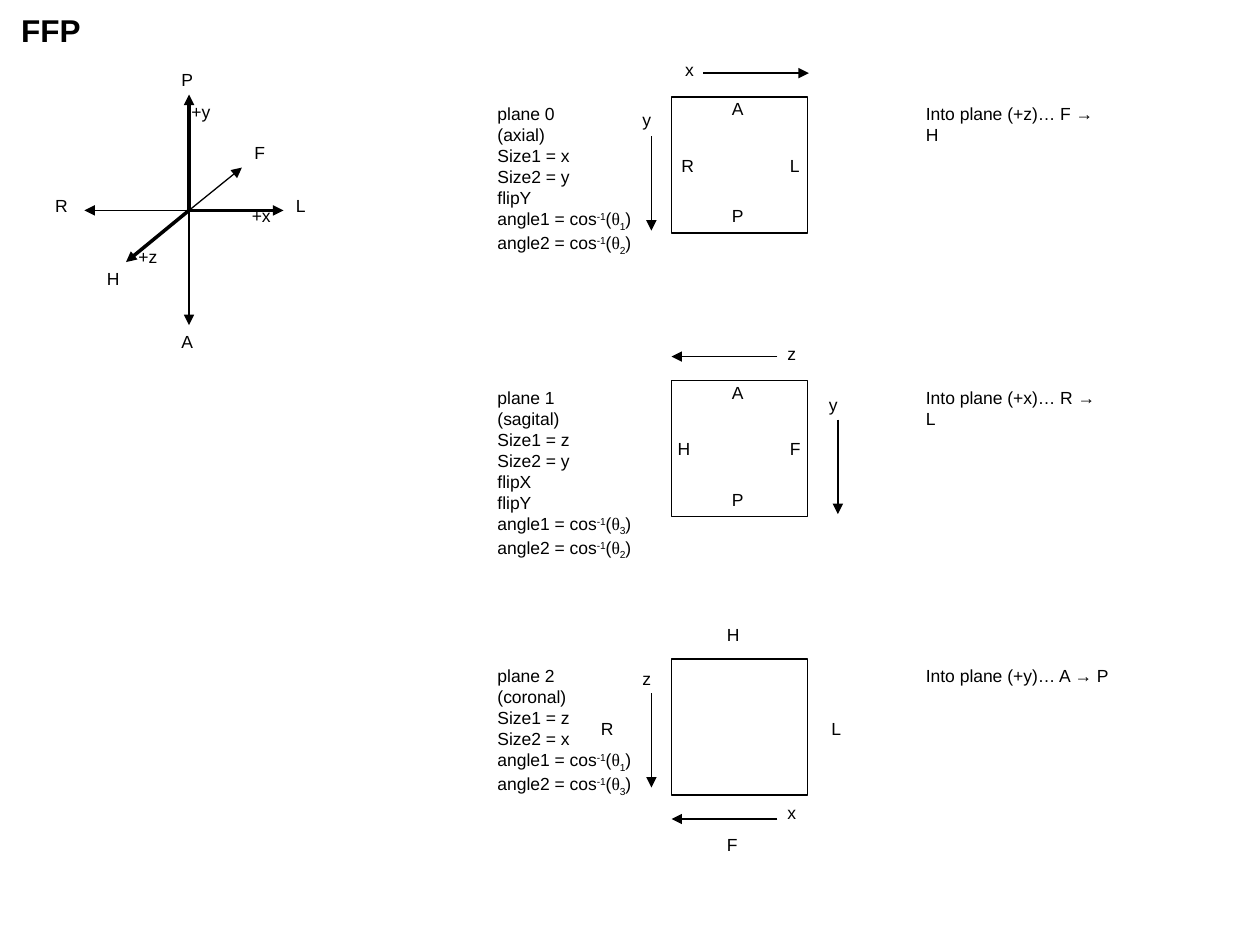
from dataclasses import dataclass

from lxml.etree import SubElement
from pptx import Presentation
from pptx.dml.color import RGBColor
from pptx.enum.shapes import MSO_CONNECTOR, MSO_SHAPE
from pptx.enum.text import MSO_AUTO_SIZE
from pptx.oxml.ns import qn
from pptx.util import Inches, Pt


@dataclass(frozen=True)
class Theme:
    ink: RGBColor = RGBColor(0, 0, 0)
    paper: RGBColor = RGBColor(255, 255, 255)
    font: str = "Arial"
    greek_font: str = "Times New Roman"
    body_size: float = 10
    title_size: float = 18
    thin: float = 0.75
    thick: float = 2


@dataclass(frozen=True)
class Plane:
    top: float
    lines: tuple
    angles: tuple
    direction: str
    direction_width: float
    arrows: tuple
    labels: tuple


class Sketch:
    def __init__(self, page, theme):
        self.page = page
        self.theme = theme

    def span(self, para, text, size=None, bold=False, font=None, baseline=0):
        span = para.add_run()
        span.text = text
        span.font.size = Pt(size or self.theme.body_size)
        span.font.bold = bold
        span.font.name = font or self.theme.font
        span.font.color.rgb = self.theme.ink
        if baseline:
            span.font._element.set("baseline", str(baseline * 1000))

    def box(self, left, top, width, height):
        box = self.page.shapes.add_textbox(
            Inches(left), Inches(top), Inches(width), Inches(height))
        box.text_frame.word_wrap = False
        box.text_frame.auto_size = MSO_AUTO_SIZE.SHAPE_TO_FIT_TEXT
        return box.text_frame

    def text(self, text, left, top, width, height=0.27, **style):
        frame = self.box(left, top, width, height)
        self.span(frame.paragraphs[0], text, **style)

    def label(self, text, left, top):
        self.text(text, left, top, LABEL_WIDTHS.get(text, 0.27))

    def settings(self, lines, angles, left, top):
        count = len(lines) + len(angles)
        frame = self.box(left, top, 1.26, 0.2 + 0.16 * count)
        paras = [frame.paragraphs[0]]
        paras += [frame.add_paragraph() for _ in range(count - 1)]
        for para, line in zip(paras, lines):
            self.span(para, line)
        for number, (para, theta) in enumerate(zip(paras[len(lines):], angles), 1):
            self.span(para, f"angle{number} = cos")
            self.span(para, "-1", baseline=30)
            self.span(para, "(")
            self.span(para, "θ", font=self.theme.greek_font)
            self.span(para, theta, baseline=-25)
            self.span(para, ")")

    def arrow(self, start, end, weight):
        points = [Inches(value) for value in (*start, *end)]
        arrow = self.page.shapes.add_connector(MSO_CONNECTOR.STRAIGHT, *points)
        arrow.line.color.rgb = self.theme.ink
        arrow.line.width = Pt(weight)
        outline = arrow.line._get_or_add_ln()
        SubElement(outline, qn("a:tailEnd"), type="triangle")
        SubElement(arrow._element.spPr, qn("a:effectLst"))

    def square(self, left, top, side):
        square = self.page.shapes.add_shape(
            MSO_SHAPE.RECTANGLE, Inches(left), Inches(top), Inches(side), Inches(side))
        square.shadow.inherit = False
        square.fill.solid()
        square.fill.fore_color.rgb = self.theme.paper
        square.line.color.rgb = self.theme.ink
        square.line.width = Pt(self.theme.thin)

    def plane(self, plane):
        self.square(5.33, plane.top, 1.08)
        self.settings(plane.lines, plane.angles, 3.85, plane.top)
        for (x1, y1), (x2, y2) in plane.arrows:
            self.arrow((x1, plane.top + y1), (x2, plane.top + y2), self.theme.thin)
        for text, left, offset in plane.labels:
            self.label(text, left, plane.top + offset)
        self.text(plane.direction, 7.25, plane.top, plane.direction_width)


THEME = Theme()
LABEL_WIDTHS = {"H": 0.3, "R": 0.3, "A": 0.29, "P": 0.29, "F": 0.28,
                "+x": 0.35, "+y": 0.35, "+z": 0.35}
ORIGIN = (1.5, 1.67)
AXES = (
    ((1.5, 2.58), THEME.thin), ((1.5, 0.75), THEME.thick),
    ((0.67, 1.67), THEME.thin), ((2.25, 1.67), THEME.thick),
    ((1, 2.08), THEME.thick), ((1.92, 1.33), THEME.thin),
)
AXIS_LABELS = (
    ("P", 1.34, 0.5), ("R", 0.34, 1.5), ("F", 1.92, 1.08),
    ("L", 2.25, 1.5), ("A", 1.34, 2.58), ("H", 0.75, 2.08),
    ("+x", 1.9, 1.58), ("+z", 1, 1.9), ("+y", 1.42, 0.75),
)
PLANES = (
    Plane(0.77, ("plane 0", "(axial)", "Size1 = x", "Size2 = y", "flipY"), ("1", "2"),
          "Into plane (+z)… F → H", 1.66,
          (((5.17, 0.31), (5.17, 1.06)), ((5.58, -0.19), (6.42, -0.19))),
          (("x", 5.34, -0.35), ("y", 5, 0.05), ("A", 5.71, -0.04),
           ("R", 5.31, 0.41), ("P", 5.71, 0.81), ("L", 6.17, 0.41))),
    Plane(3.02, ("plane 1", "(sagital)", "Size1 = z", "Size2 = y", "flipX", "flipY"),
          ("3", "2"), "Into plane (+x)… R → L", 1.65,
          (((6.65, 0.31), (6.65, 1.06)), ((6.17, -0.19), (5.33, -0.19))),
          (("z", 6.15, -0.35), ("y", 6.48, 0.06), ("A", 5.71, -0.04),
           ("H", 5.28, 0.41), ("P", 5.71, 0.81), ("F", 6.17, 0.41))),
    Plane(5.23, ("plane 2", "(coronal)", "Size1 = z", "Size2 = x"), ("1", "3"),
          "Into plane (+y)… A → P", 1.66,
          (((5.17, 0.27), (5.17, 1.02)), ((6.17, 1.27), (5.33, 1.27))),
          (("x", 6.15, 1.09), ("z", 5, 0.02), ("H", 5.67, -0.33),
           ("R", 4.67, 0.42), ("F", 5.67, 1.34), ("L", 6.5, 0.42))),
)


def main():
    deck = Presentation()
    deck.slide_width = Inches(10)
    deck.slide_height = Inches(7.5)
    sketch = Sketch(deck.slides.add_slide(deck.slide_layouts[6]), THEME)
    sketch.text("FFP", 0.07, 0.04, 0.67, 0.4, size=THEME.title_size, bold=True)
    for end, weight in AXES:
        sketch.arrow(ORIGIN, end, weight)
    for plane in PLANES:
        sketch.plane(plane)
    for axis_label in AXIS_LABELS:
        sketch.label(*axis_label)
    deck.save("out.pptx")


if __name__ == "__main__":
    main()
